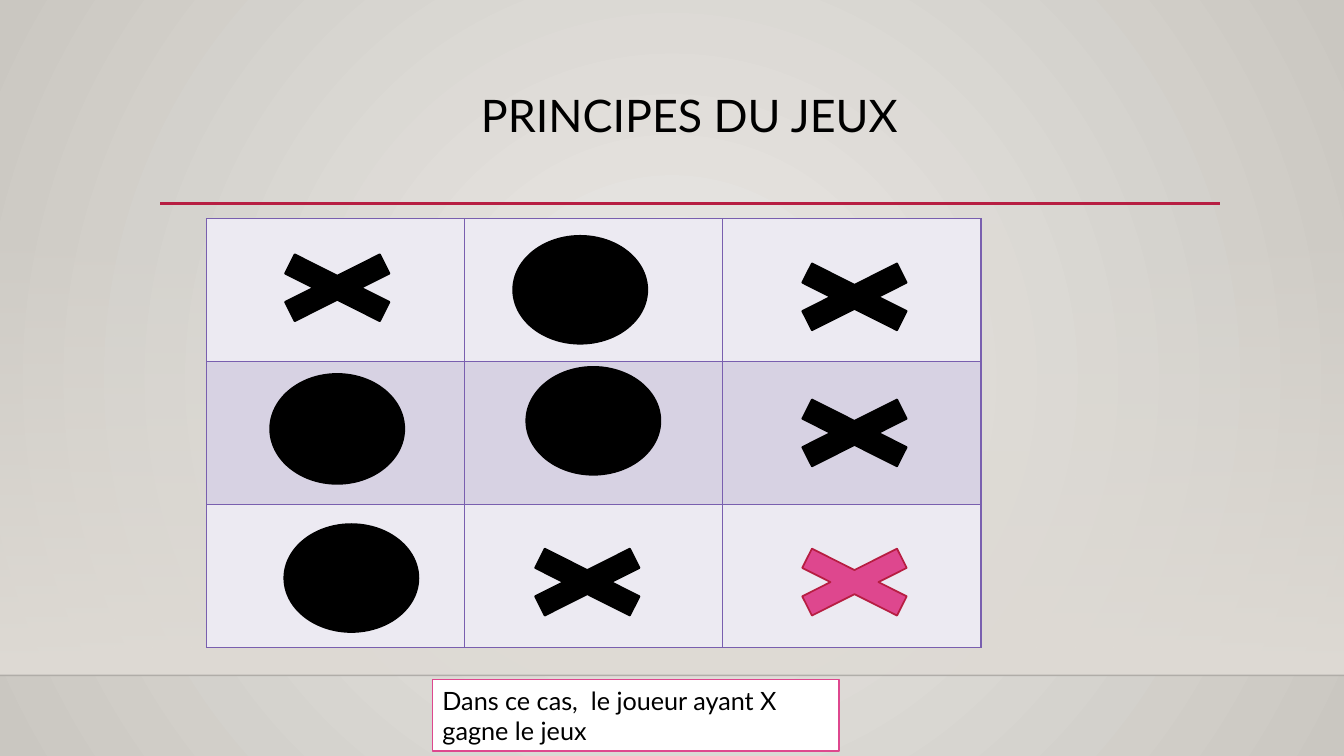
"""Build the slide that shows a finished game of noughts and crosses."""
from dataclasses import dataclass
from typing import Any

from lxml.etree import SubElement
from pptx import Presentation
from pptx.dml.color import RGBColor
from pptx.enum.shapes import MSO_CONNECTOR, MSO_SHAPE
from pptx.enum.text import MSO_ANCHOR, PP_ALIGN
from pptx.oxml import parse_xml
from pptx.oxml.ns import nsdecls, qn
from pptx.util import Inches, Pt

BLACK = RGBColor(0x00, 0x00, 0x00)
WHITE = RGBColor(0xFF, 0xFF, 0xFF)
RED = RGBColor(0xB7, 0x1E, 0x42)
PINK = RGBColor(0xDE, 0x47, 0x8E)
PURPLE = RGBColor(0x79, 0x5F, 0xAF)
PALE = RGBColor(0xEC, 0xEA, 0xF2)
LILAC = RGBColor(0xD7, 0xD2, 0xE3)
LIGHT = RGBColor(0xEC, 0xEA, 0xE7)
DARK = RGBColor(0xCA, 0xC7, 0xC1)
SAND = RGBColor(0xDF, 0xDB, 0xD5)

FONT = "Lato"
WIDE, HIGH, FLOOR = 13.33, 7.5, 6.7
SIDE = 3
CROSS = MSO_SHAPE.MATH_MULTIPLY
NOUGHT = MSO_SHAPE.OVAL


@dataclass(frozen=True)
class Box:
    left: float
    top: float
    width: float
    height: float

    def span(self) -> tuple:
        return tuple(Inches(v) for v in (self.left, self.top, self.width, self.height))


@dataclass(frozen=True)
class Mark:
    kind: Any
    left: float
    top: float
    fill: RGBColor = BLACK
    edge: RGBColor = BLACK
    height: float = 1.07

    def box(self) -> Box:
        if self.kind == CROSS:
            return Box(self.left, self.top, 1.81, 0.91)
        return Box(self.left, self.top, 1.33, self.height)


@dataclass(frozen=True)
class Rule:
    left: float
    right: float
    top: float
    color: RGBColor
    weight: float
    alpha: int = 100


MARKS = (
    Mark(NOUGHT, 2.68, 3.71, height=1.09),
    Mark(CROSS, 7.57, 3.84),
    Mark(CROSS, 2.44, 2.4),
    Mark(CROSS, 4.92, 5.32),
    Mark(NOUGHT, 5.09, 2.34),
    Mark(NOUGHT, 5.22, 3.64),
    Mark(CROSS, 7.57, 2.49),
    Mark(NOUGHT, 2.82, 5.2),
    Mark(CROSS, 7.57, 5.32, PINK, RED),
)
RULES = (
    Rule(0, WIDE, FLOOR, BLACK, 1, 20),
    Rule(1.59, 12.1, 2.02, RED, 2.5),
)


def apply(target: Any, values: dict) -> None:
    """Set each named value on the target."""
    for name, value in values.items():
        setattr(target, name, value)


def fade(node: Any, alpha: int) -> None:
    """Give the first colour under the node an opacity in percent."""
    color = next(node.iter(qn("a:srgbClr")))
    SubElement(color, qn("a:alpha"), val=str(alpha * 1000))


def blend(fill: Any, first: RGBColor, last: RGBColor) -> None:
    """Fill with a gradient of two colours."""
    fill.gradient()
    for stop, color in zip(fill.gradient_stops, (first, last)):
        stop.color.rgb = color


def draw_back(slide: Any) -> None:
    """Draw the round glow and the wall above the floor."""
    blend(slide.background.fill, LIGHT, DARK)
    glow = next(slide.element.iter(qn("a:gradFill")))
    glow.remove(glow.find(qn("a:lin")))
    ring = SubElement(glow, qn("a:path"), {"path": "circle"})
    SubElement(ring, qn("a:fillToRect"), dict.fromkeys("ltrb", "50000"))

    wall = slide.shapes.add_shape(MSO_SHAPE.RECTANGLE, *Box(0, 2.21, WIDE, 4.49).span())
    wall.shadow.inherit = False
    wall.line.fill.background()
    blend(wall.fill, SAND, SAND)
    wall.fill.gradient_angle = 270
    fade(wall.element, 0)


def draw_rule(slide: Any, rule: Rule) -> None:
    """Draw one level line."""
    line = slide.shapes.add_connector(
        MSO_CONNECTOR.STRAIGHT,
        Inches(rule.left), Inches(rule.top), Inches(rule.right), Inches(rule.top),
    )
    line.line.color.rgb = rule.color
    line.line.width = Pt(rule.weight)
    if rule.alpha < 100:
        fade(line.element, rule.alpha)
    SubElement(line.element.spPr, qn("a:effectLst"))


def draw_shape(slide: Any, kind: Any, box: Box, fill: RGBColor, edge: RGBColor) -> Any:
    """Draw one filled and outlined shape."""
    shape = slide.shapes.add_shape(kind, *box.span())
    shape.shadow.inherit = False
    shape.fill.solid()
    shape.fill.fore_color.rgb = fill
    shape.line.color.rgb = edge
    shape.line.width = Pt(1.25)
    return shape


def write(shape: Any, text: str, size: int, frame: dict, para: dict) -> None:
    """Write one paragraph in a shape."""
    apply(shape.text_frame, {"word_wrap": True, **frame})
    first = shape.text_frame.paragraphs[0]
    apply(first, para)
    run = first.add_run()
    run.text = text
    apply(run.font, {"name": FONT, "size": Pt(size)})
    run.font.color.rgb = BLACK


def draw_grid(slide: Any, box: Box) -> None:
    """Draw the game board as a table."""
    table = slide.shapes.add_table(SIDE, SIDE, *box.span()).table
    apply(table, {"first_row": False, "horz_banding": False})
    for row in range(SIDE):
        for col in range(SIDE):
            cell = table.cell(row, col)
            cell.fill.solid()
            cell.fill.fore_color.rgb = LILAC if row % 2 else PALE
            props = cell._tc.get_or_add_tcPr()
            for place, edge in enumerate("LRTB"):
                props.insert(place, parse_xml(
                    f'<a:ln{edge} {nsdecls("a")} w="12700"><a:solidFill>'
                    f'<a:srgbClr val="{PURPLE}"/></a:solidFill></a:ln{edge}>'
                ))


def main() -> None:
    """Build and save the slide."""
    deck = Presentation()
    apply(deck, {"slide_width": Inches(WIDE), "slide_height": Inches(HIGH)})
    slide = deck.slides.add_slide(deck.slide_layouts[6])
    draw_back(slide)
    for rule in RULES:
        draw_rule(slide, rule)
    title = slide.shapes.add_textbox(*Box(1.59, 0.88, 10.5, 1.15).span())
    write(title, "PRINCIPES DU JEUX", 32, {"vertical_anchor": MSO_ANCHOR.TOP},
          {"alignment": PP_ALIGN.CENTER, "line_spacing": 0.9})
    draw_grid(slide, Box(2.05, 2.17, 7.68, 4.25))
    for mark in MARKS:
        draw_shape(slide, mark.kind, mark.box(), mark.fill, mark.edge)
    note = draw_shape(slide, MSO_SHAPE.RECTANGLE, Box(4.29, 6.74, 4.03, 0.71), WHITE, PINK)
    write(note, "Dans ce cas,  le joueur ayant X gagne le jeux", 18,
          {"vertical_anchor": MSO_ANCHOR.MIDDLE}, {"alignment": PP_ALIGN.LEFT})
    deck.save("out.pptx")


if __name__ == "__main__":
    main()
